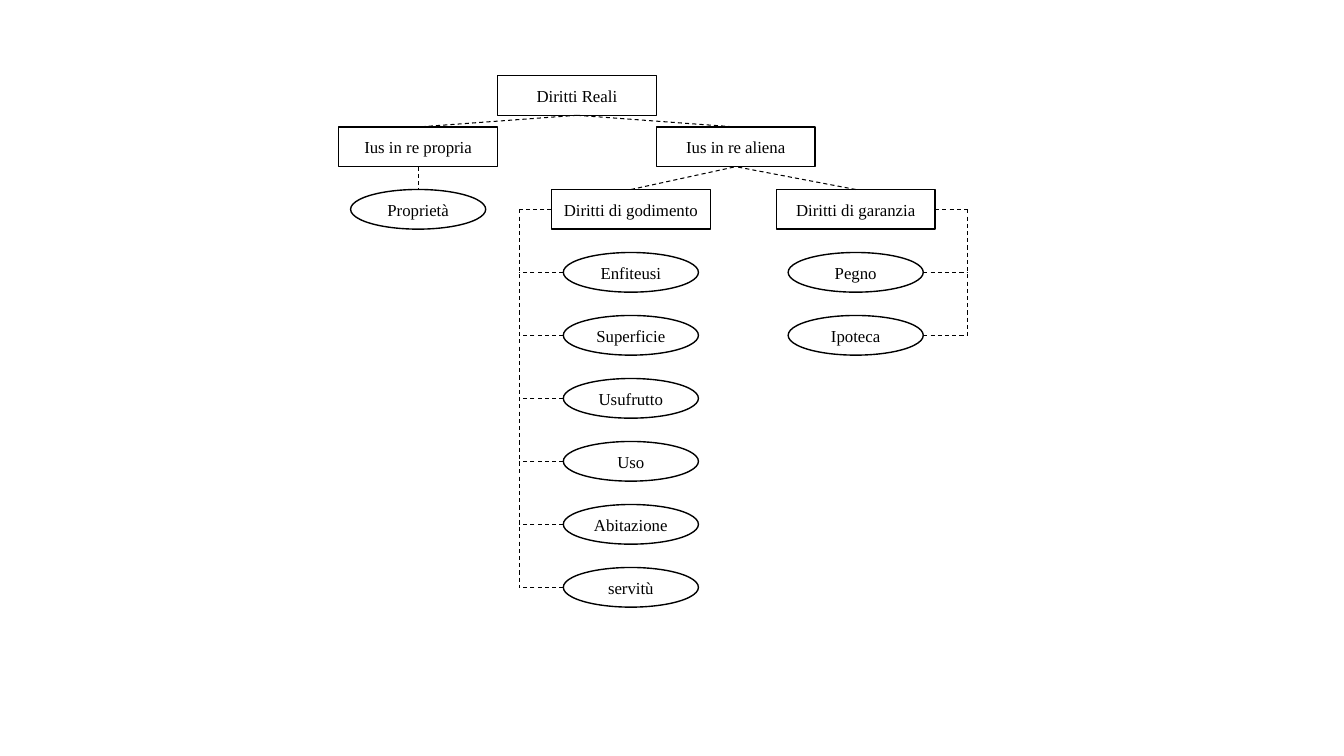
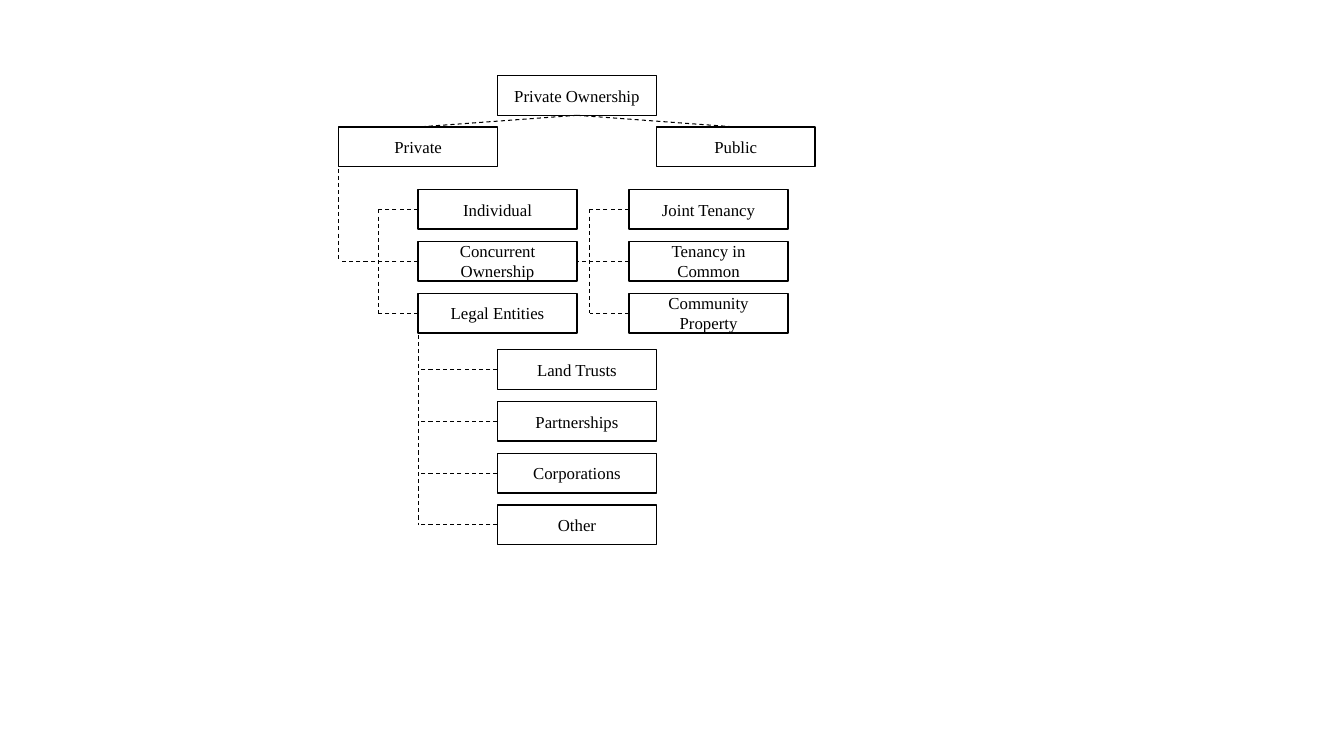
from pptx import Presentation
from pptx import util as u
from pptx.dml.color import RGBColor
from pptx.enum import dml, shapes, text
from pptx.oxml.ns import qn
from lxml import etree

COLOURS = {"ink": "000000"}
INK = RGBColor.from_string(COLOURS["ink"])
FONT = {"name": "Times New Roman", "size": u.Pt(12)}
FRAME = {"word_wrap": True, "vertical_anchor": text.MSO_ANCHOR.MIDDLE}

# Grid: half-box columns, and three kinds of rows
LEFT, COLUMN = 3.36, 3.15 / 4
columns = [LEFT + COLUMN * i for i in range(5)]
TOP, BRANCH_TOP, LEAF_TOP, ENTITY_TOP = 0.75, 1.26, 1.88, 3.47
BOX_STEP, LEAF_STEP, ENTITY_STEP = 1.03 / 2, 3.75 / 6, 1.54 / 3
HEIGHT = COLUMN / 2
BOX, OVAL = shapes.MSO_SHAPE.RECTANGLE, shapes.MSO_SHAPE.OVAL
WIDTHS = {BOX: COLUMN * 2, OVAL: 1.34}
OVAL_INDENT = (WIDTHS[BOX] - WIDTHS[OVAL]) / 2
ENJOYMENT_LEFT, GUARANTEE_LEFT = 5.47, 7.7
TENANCY_LEFT = 6.24

# Connection sites of a rectangle; top is the same for an oval
TOP_SITE, LEFT_SITE, BOTTOM_SITE, RIGHT_SITE = range(4)
SITE_SHARES = [(0.5, 0), (0, 0.5), (0.5, 1), (1, 0.5)]


def stack(kind, left, top, step, names):
    """Rows of (name, kind, left, top), one below the other."""
    return [(name, kind, left, top + step * i) for i, name in enumerate(names)]


def add_dash(slide, start, end):
    connector = slide.shapes.add_connector(shapes.MSO_CONNECTOR.STRAIGHT, *start, *end)
    connector.line.color.rgb = INK
    connector.line.width = u.Pt(0.75)
    connector.line.dash_style = dml.MSO_LINE.DASH
    properties = connector._element.find(qn("p:spPr"))
    etree.SubElement(properties, qn("a:effectLst"))
    return connector


enjoyment = ["Enfiteusi", "Superficie", "Usufrutto", "Uso", "Abitazione", "servitù"]
guarantee = ["Pegno", "Ipoteca"]
ownership = ["Individual", "Concurrent Ownership", "Legal Entities"]
tenancies = ["Joint Tenancy", "Tenancy in Common", "Community Property"]
entities = ["Land Trusts", "Partnerships", "Corporations", "Other"]

diagrams = [
    {
        "root": ("Diritti Reali", "Ius in re propria", "Ius in re aliena"),
        "nodes": [
            ("Proprietà", OVAL, LEFT + OVAL_INDENT, LEAF_TOP),
            ("Diritti di godimento", BOX, ENJOYMENT_LEFT, LEAF_TOP),
            ("Diritti di garanzia", BOX, GUARANTEE_LEFT, LEAF_TOP),
            *stack(OVAL, ENJOYMENT_LEFT + OVAL_INDENT, LEAF_TOP + LEAF_STEP, LEAF_STEP, enjoyment),
            *stack(OVAL, GUARANTEE_LEFT + OVAL_INDENT, LEAF_TOP + LEAF_STEP, LEAF_STEP, guarantee),
        ],
        "links": [
            ("Ius in re propria", BOTTOM_SITE, "Proprietà", TOP_SITE),
            ("Diritti di godimento", TOP_SITE, "Ius in re aliena", BOTTOM_SITE),
            ("Diritti di garanzia", TOP_SITE, "Ius in re aliena", BOTTOM_SITE),
        ],
        "rails": [
            (5.15, ["Diritti di godimento", *enjoyment]),
            (9.6, ["Diritti di garanzia", *guarantee]),
        ],
    },
    {
        "root": ("Private Ownership", "Private", "Public"),
        "nodes": [
            *stack(BOX, columns[1], LEAF_TOP, BOX_STEP, ownership),
            *stack(BOX, TENANCY_LEFT, LEAF_TOP, BOX_STEP, tenancies),
            *stack(BOX, columns[2], ENTITY_TOP, ENTITY_STEP, entities),
        ],
        "links": [("Tenancy in Common", LEFT_SITE, "Concurrent Ownership", RIGHT_SITE)],
        "rails": [
            (columns[0], ["Private", "Concurrent Ownership"]),
            (LEFT + COLUMN / 2, ["Individual", "Legal Entities"]),
            (5.85, ["Joint Tenancy", "Community Property"]),
            (columns[1], ["Legal Entities", *entities]),
        ],
    },
]

presentation = Presentation()
presentation.slide_width, presentation.slide_height = u.Inches(13.33), u.Inches(7.5)
blank_layout = presentation.slide_layouts[6]

for diagram in diagrams:
    slide = presentation.slides.add_slide(blank_layout)
    root, first, second = diagram["root"]
    upper_nodes = [
        (root, BOX, columns[2], TOP),
        (first, BOX, columns[0], BRANCH_TOP),
        (second, BOX, columns[4], BRANCH_TOP),
    ]

    nodes = {}
    for name, kind, left, top in upper_nodes + diagram["nodes"]:
        place = [u.Inches(length) for length in (left, top, WIDTHS[kind], HEIGHT)]
        shape = nodes[name] = slide.shapes.add_shape(kind, *place)
        shape.shadow.inherit = False
        shape.fill.background()
        shape.line.color.rgb = INK
        shape.line.width = u.Pt(1)
        for key, value in FRAME.items():
            setattr(shape.text_frame, key, value)
        paragraph = shape.text_frame.paragraphs[0]
        paragraph.alignment = text.PP_ALIGN.CENTER
        run = paragraph.add_run()
        run.text = name
        for key, value in FONT.items():
            setattr(run.font, key, value)
        run.font.color.rgb = INK

    branches = [(root, BOTTOM_SITE, branch, TOP_SITE) for branch in (first, second)]
    for start, start_site, end, end_site in branches + diagram["links"]:
        points = []
        for name, site in ((start, start_site), (end, end_site)):
            node, (across, down) = nodes[name], SITE_SHARES[site]
            points.append((int(node.left + node.width * across), int(node.top + node.height * down)))
        connector = add_dash(slide, *points)
        connector.begin_connect(nodes[start], start_site)
        connector.end_connect(nodes[end], end_site)

    for position, names in diagram["rails"]:
        rail = u.Inches(position)
        middles = [nodes[name].top + nodes[name].height // 2 for name in names]
        add_dash(slide, (rail, middles[0]), (rail, middles[-1]))
        for name, middle in zip(names, middles):
            node = nodes[name]
            edge = node.left if rail <= node.left else node.left + node.width
            if edge != rail:
                add_dash(slide, (edge, middle), (rail, middle))

presentation.save("out.pptx")
